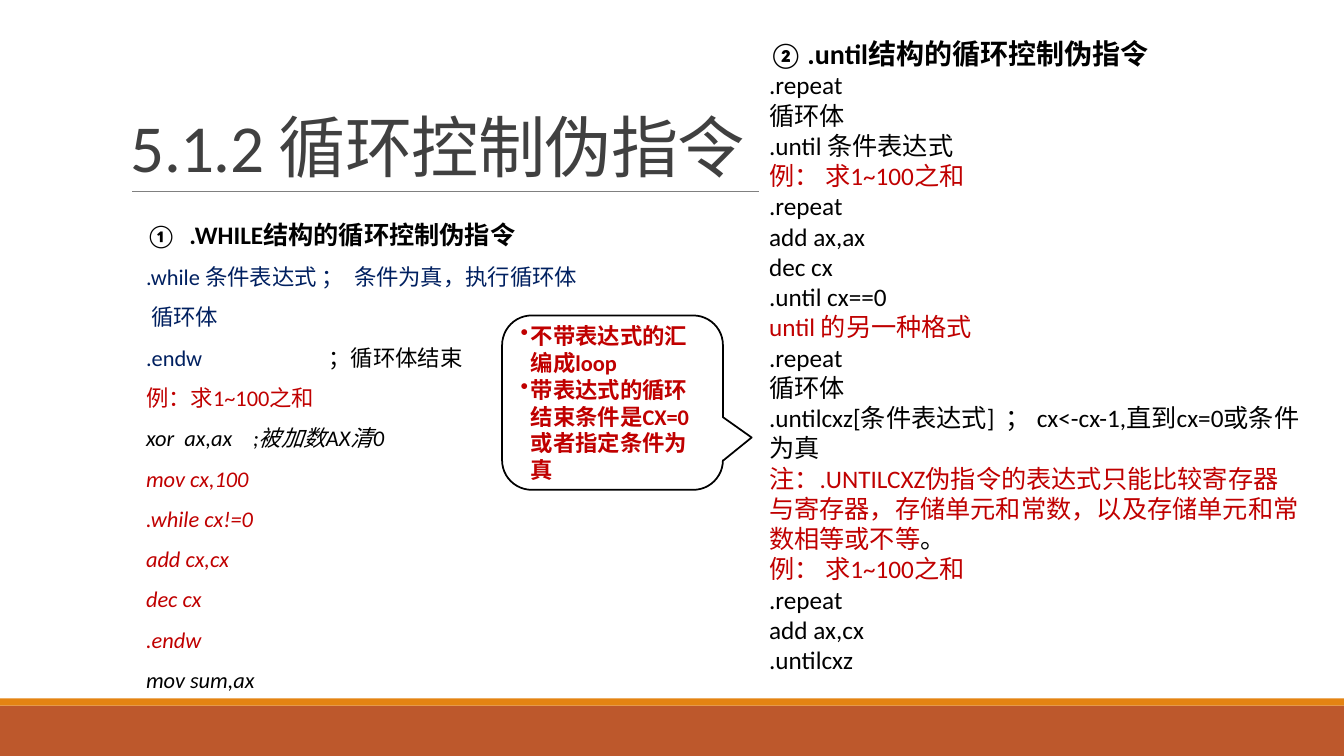
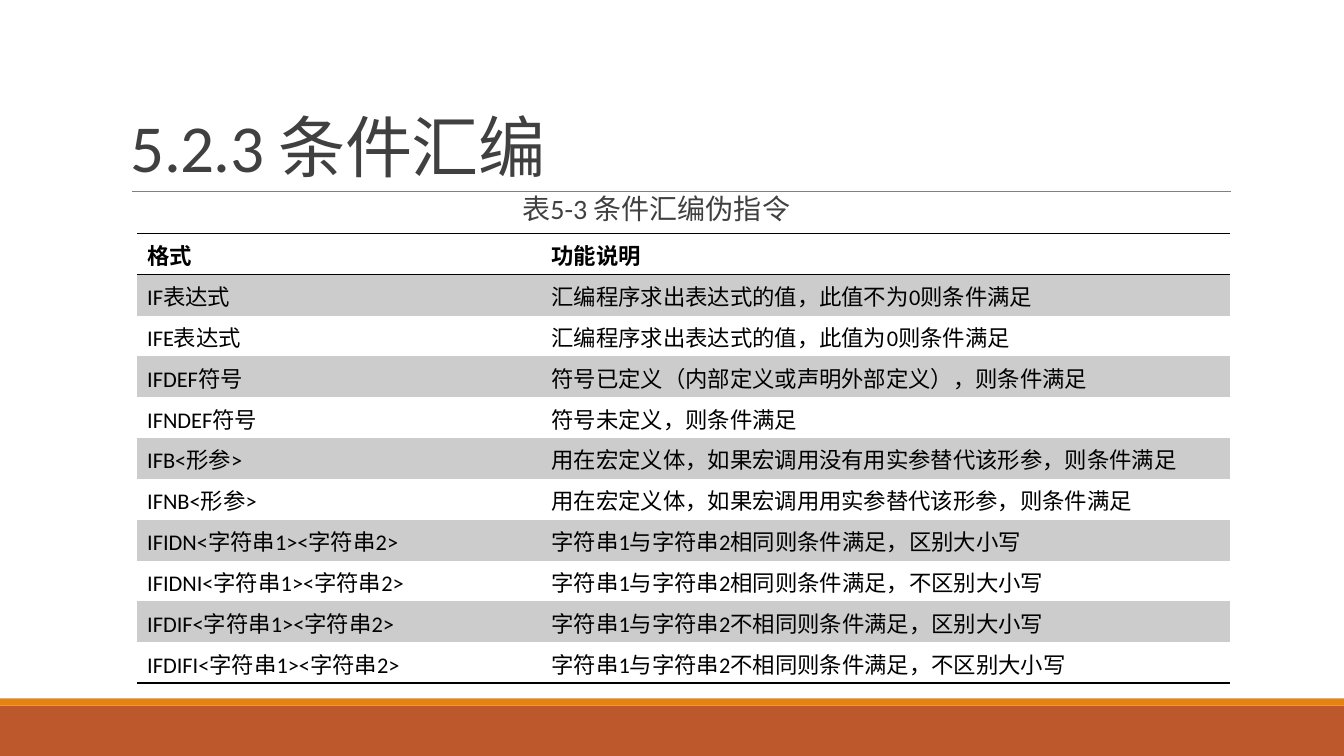
from lxml.etree import SubElement
from pptx import Presentation
from pptx.dml.color import RGBColor
from pptx.enum.shapes import MSO_CONNECTOR, MSO_SHAPE
from pptx.enum.text import MSO_ANCHOR, PP_ALIGN
from pptx.oxml.ns import qn
from pptx.util import Inches, Pt

FONT = "Calibri"
BLACK = RGBColor(0x00, 0x00, 0x00)
WHITE = RGBColor(0xFF, 0xFF, 0xFF)
RED = RGBColor(0xC0, 0x00, 0x00)
NAVY = RGBColor(0x00, 0x20, 0x60)
TITLE_GRAY = RGBColor(0x40, 0x40, 0x40)
RULE_GRAY = RGBColor(0x80, 0x80, 0x80)
ROW_GRAY = RGBColor(0xCC, 0xCC, 0xCC)
RUST = RGBColor(0xBD, 0x58, 0x2C)
ORANGE = RGBColor(0xE4, 0x83, 0x12)
NO_GRID_STYLE = "{2D5ABB26-0587-4C30-8999-92F81FD0307C}"

WHILE_LINES = [
    (".while 条件表达式 ；  条件为真，执行循环体", NAVY, False),
    (" 循环体", NAVY, False),
    (".endw\t；循环体结束", NAVY, False),
    ("例：求1~100之和", RED, False),
    ("xor  ax,ax\t;被加数AX清0", BLACK, True),
    ("mov cx,100", RED, True),
    (".while cx!=0", RED, True),
    ("add cx,cx", RED, True),
    ("dec cx", RED, True),
    (".endw", RED, True),
    ("mov sum,ax", BLACK, True),
]
WHILE_TABS = {".endw\t；循环体结束": 1.81, "xor  ax,ax\t;被加数AX清0": 1.06}

UNTIL_LINES = [
    (".repeat", BLACK),
    ("循环体", BLACK),
    (".until 条件表达式", BLACK),
    ("例： 求1~100之和", RED),
    (".repeat", BLACK),
    ("add ax,ax", BLACK),
    ("dec cx", BLACK),
    (".until cx==0", BLACK),
    ("until 的另一种格式", RED),
    (".repeat", BLACK),
    ("循环体", BLACK),
    (".untilcxz[条件表达式]  ； cx<-cx-1,直到cx=0或条件为真", BLACK),
    ("注：.UNTILCXZ伪指令的表达式只能比较寄存器与寄存器，存储单元和常数，"
     "以及存储单元和常数相等或不等。", RED),
    ("例： 求1~100之和", RED),
    (".repeat", BLACK),
    ("add ax,cx", BLACK),
    (".untilcxz", BLACK),
]

CALLOUT_LINES = ["不带表达式的汇编成loop", "带表达式的循环结束条件是CX=0或者指定条件为真"]

DIRECTIVES = [
    ("格式", "功能说明"),
    ("IF表达式", "汇编程序求出表达式的值，此值不为0则条件满足"),
    ("IFE表达式", "汇编程序求出表达式的值，此值为0则条件满足"),
    ("IFDEF符号", "符号已定义（内部定义或声明外部定义），则条件满足"),
    ("IFNDEF符号", "符号未定义，则条件满足"),
    ("IFB<形参>", "用在宏定义体，如果宏调用没有用实参替代该形参，则条件满足"),
    ("IFNB<形参>", "用在宏定义体，如果宏调用用实参替代该形参，则条件满足"),
    ("IFIDN<字符串1><字符串2>", "字符串1与字符串2相同则条件满足，区别大小写"),
    ("IFIDNI<字符串1><字符串2>", "字符串1与字符串2相同则条件满足，不区别大小写"),
    ("IFDIF<字符串1><字符串2>", "字符串1与字符串2不相同则条件满足，区别大小写"),
    ("IFDIFI<字符串1><字符串2>", "字符串1与字符串2不相同则条件满足，不区别大小写"),
]


def inches(box):
    """Turn a box of plain numbers into lengths."""
    return [Inches(value) for value in box]


def set_indent(paragraph, margin, bullet=None, number=None):
    """Give a paragraph a hanging indent with a bullet or a circled number."""
    props = paragraph._p.get_or_add_pPr()
    props.set("marL", str(Inches(margin)))
    props.set("indent", str(-Inches(margin)))
    if bullet:
        SubElement(props, qn("a:buChar"), char=bullet)
    if number:
        SubElement(props, qn("a:buSzPct"), val="90000")
        SubElement(props, qn("a:buAutoNum"), type="circleNumDbPlain", startAt=str(number))


def set_tab(paragraph, position):
    """Add one left tab stop."""
    tabs = SubElement(paragraph._p.get_or_add_pPr(), qn("a:tabLst"))
    SubElement(tabs, qn("a:tab"), pos=str(Inches(position)), algn="l")


def style(paragraph, size, color, bold=False, italic=False, align=PP_ALIGN.LEFT, spacing=None):
    """Set the font, alignment and line spacing of a paragraph."""
    paragraph.alignment = align
    if spacing:
        paragraph.line_spacing = spacing
    font = paragraph.font
    font.name, font.size, font.bold, font.italic = FONT, Pt(size), bold, italic
    font.color.rgb = color


def next_paragraph(frame, text):
    """Fill the empty first paragraph or append a new one."""
    first = frame.paragraphs[0]
    paragraph = first if not first.runs else frame.add_paragraph()
    paragraph.add_run().text = text
    return paragraph


def add_panel(slide, box, fill, kind=MSO_SHAPE.RECTANGLE):
    """Add a flat shape without an outline."""
    panel = slide.shapes.add_shape(kind, *inches(box))
    panel.shadow.inherit = False
    panel.fill.solid()
    panel.fill.fore_color.rgb = fill
    panel.line.fill.background()
    return panel


def add_text_frame(slide, box):
    """Add a wrapping text box and return its frame."""
    frame = slide.shapes.add_textbox(*inches(box)).text_frame
    frame.word_wrap = True
    return frame


def add_titled_slide(deck, title):
    """Add a slide with the shared bands, rule and title."""
    slide = deck.slides.add_slide(deck.slide_layouts[6])
    add_panel(slide, (0, 7, 13.33, 0.5), RUST)
    add_panel(slide, (0, 6.93, 13.33, 0.07), ORANGE)
    rule = slide.shapes.add_connector(MSO_CONNECTOR.STRAIGHT, *inches((1.31, 1.9, 12.21, 1.9)))
    rule.line.color.rgb = RULE_GRAY
    rule.line.width = Pt(0.5)
    SubElement(rule._element.spPr, qn("a:effectLst"))
    frame = add_text_frame(slide, (1.2, 0.31, 11, 1.59))
    frame.vertical_anchor = MSO_ANCHOR.BOTTOM
    heading = next_paragraph(frame, title)
    style(heading, 48, TITLE_GRAY, spacing=0.85)
    heading.runs[0].font._element.set("spc", "-50")
    return slide


def add_until_panel(slide, box):
    """Add the white panel on the .until directive."""
    panel = add_panel(slide, box, WHITE)
    frame = panel.text_frame
    frame.word_wrap = True
    frame.vertical_anchor = MSO_ANCHOR.TOP
    heading = next_paragraph(frame, ".until结构的循环控制伪指令")
    set_indent(heading, 0.38, number=2)
    style(heading, 20, BLACK, bold=True)
    for text, color in UNTIL_LINES:
        line = next_paragraph(frame, text)
        if text.endswith("。"):
            line.runs[0].text = text[:-1]
            stop = line.add_run()
            stop.text = "。"
            stop.font.color.rgb = BLACK
        style(line, 18, color)


def add_while_text(slide, box):
    """Add the text on the .WHILE directive."""
    frame = add_text_frame(slide, box)
    heading = next_paragraph(frame, ".WHILE结构的循环控制伪指令")
    set_indent(heading, 0.43, number=1)
    style(heading, 18, BLACK, bold=True, spacing=1.5)
    for text, color, italic in WHILE_LINES:
        code, tab, comment = text.partition("\t")
        line = next_paragraph(frame, code + tab)
        if tab:
            set_tab(line, WHILE_TABS[text])
            remark = line.add_run()
            remark.text = comment
            remark.font.color.rgb = BLACK
        style(line, 16, color, italic=italic, spacing=1.5)


def add_callout(slide, box):
    """Add the callout that points at the .until panel."""
    callout = add_panel(slide, box, WHITE, MSO_SHAPE.ROUNDED_RECTANGULAR_CALLOUT)
    for index, value in enumerate((0.63, 0.2, 0.17)):
        callout.adjustments[index] = value
    callout.line.color.rgb = BLACK
    callout.line.width = Pt(1.25)
    frame = callout.text_frame
    frame.word_wrap = True
    frame.vertical_anchor = MSO_ANCHOR.MIDDLE
    for text in CALLOUT_LINES:
        note = next_paragraph(frame, text)
        set_indent(note, 0.1, bullet="•")
        style(note, 16, RED, bold=True)


def add_caption(slide, box, text):
    """Add the centred caption above the table."""
    frame = add_text_frame(slide, box)
    frame.margin_left = Inches(0.1)
    frame.margin_right = 0
    style(next_paragraph(frame, text), 20, TITLE_GRAY, align=PP_ALIGN.CENTER, spacing=0.9)


def add_border(cell, side):
    """Draw a thin black border on one side of a cell."""
    line = SubElement(cell._tc.get_or_add_tcPr(), qn(f"a:{side}"), w=str(Pt(1)))
    SubElement(SubElement(line, qn("a:solidFill")), qn("a:srgbClr"), val=str(BLACK))


def add_directive_table(slide, box):
    """Add the table of conditional assembly directives."""
    last = len(DIRECTIVES) - 1
    table = slide.shapes.add_table(len(DIRECTIVES), 2, *inches(box)).table
    table._tbl.tblPr.find(qn("a:tableStyleId")).text = NO_GRID_STYLE
    table.first_row = table.horz_banding = False
    for column, width in zip(table.columns, (4.01, 6.83)):
        column.width = Inches(width)
    for row, texts in enumerate(DIRECTIVES):
        for column, text in enumerate(texts):
            cell = table.cell(row, column)
            if row == 0:
                add_border(cell, "lnT")
            if row in (0, last):
                add_border(cell, "lnB")
            if row % 2:
                cell.fill.solid()
                cell.fill.fore_color.rgb = ROW_GRAY
            else:
                cell.fill.background()
            style(next_paragraph(cell.text_frame, text), 16, BLACK, bold=row == 0)


def build_loop_slide(deck):
    """Build the slide on loop control directives."""
    slide = add_titled_slide(deck, "5.1.2 循环控制伪指令")
    add_until_panel(slide, (7.53, 0.31, 5.48, 6.5))
    add_while_text(slide, (1.35, 1.98, 4.69, 4.96))
    add_callout(slide, (4.98, 3.13, 2.19, 1.73))


def build_condition_slide(deck):
    """Build the slide on conditional assembly."""
    slide = add_titled_slide(deck, "5.2.3 条件汇编")
    add_caption(slide, (0.96, 1.89, 11, 0.43), "表5-3 条件汇编伪指令")
    add_directive_table(slide, (1.36, 2.32, 10.84, 4.46))


def main():
    """Build and save the deck."""
    deck = Presentation()
    deck.slide_width, deck.slide_height = Inches(13.33), Inches(7.5)
    build_loop_slide(deck)
    build_condition_slide(deck)
    deck.save("out.pptx")


if __name__ == "__main__":
    main()
